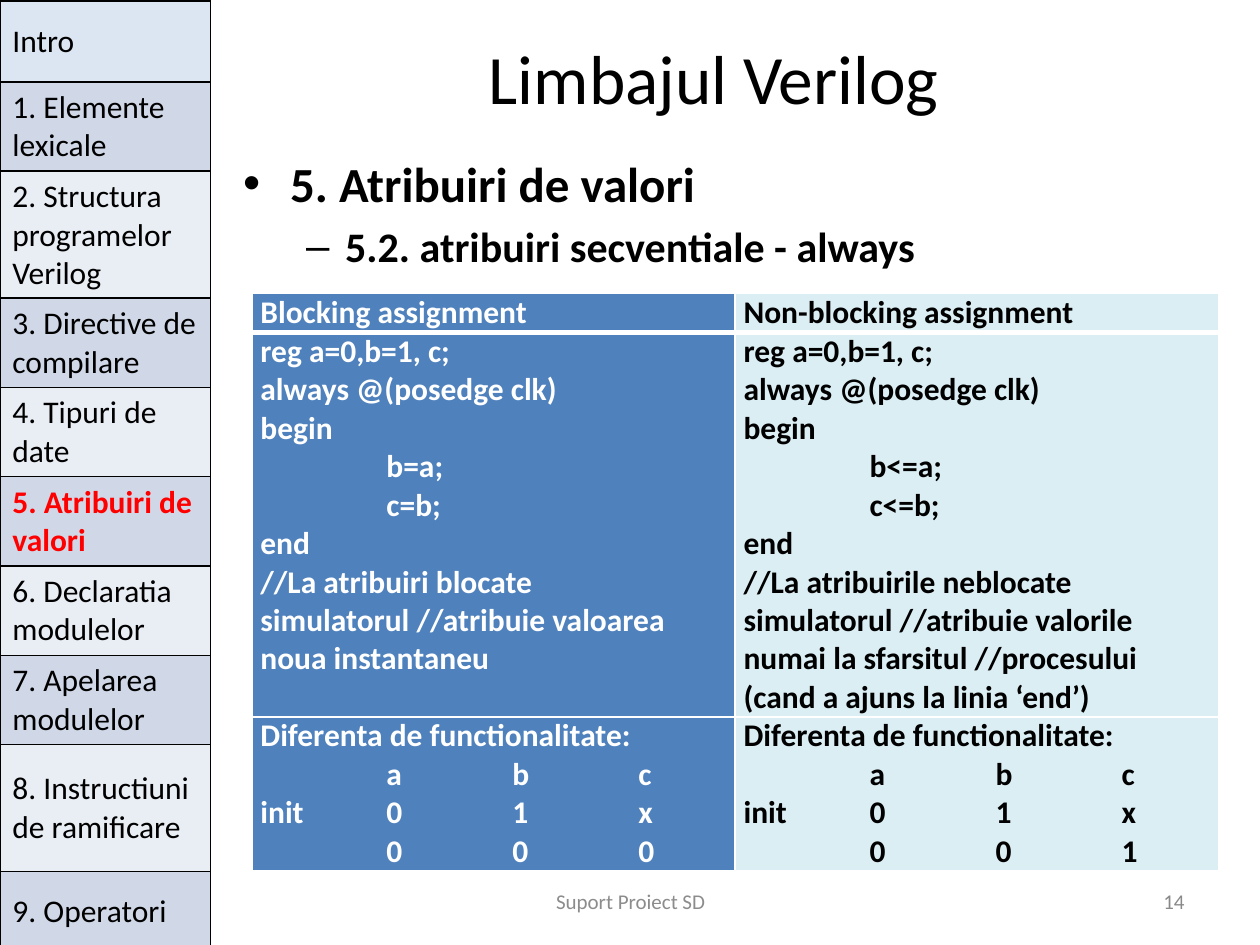
from lxml import etree
from pptx import Presentation
from pptx.dml.color import RGBColor
from pptx.enum.text import MSO_ANCHOR, PP_ALIGN
from pptx.oxml.ns import qn
from pptx.util import Cm, Pt

MIDDLE, TOP = MSO_ANCHOR.MIDDLE, MSO_ANCHOR.TOP
LEFT, CENTER, RIGHT = PP_ALIGN.LEFT, PP_ALIGN.CENTER, PP_ALIGN.RIGHT
FONT = "Calibri"
TAB = 2.54
HEX = {
    "black": "000000", "white": "FFFFFF", "red": "FF0000",
    "foot": "8C8C8C", "page": "898989", "blue": "4F81BD",
    "aqua": "DBEEF4", "intro": "DCE6F2", "odd": "D0D8E8", "even": "E9EDF4",
}
MENU = [
    ("Intro", 1.63), ("1. Elemente lexicale", 1.8),
    ("2. Structura programelor Verilog", 2.56),
    ("3. Directive de compilare", 1.8), ("4. Tipuri de date", 1.8),
    ("5. Atribuiri de valori", 1.8), ("6. Declaratia modulelor", 1.8),
    ("7. Apelarea modulelor", 1.8), ("8. Instructiuni de ramificare", 2.56),
    ("9. Operatori", 1.63),
]
ACTIVE = 5
CODE = "reg a=0,b=1, c;\nalways @(posedge clk)\nbegin\n\tb{0}a;\n\tc{0}b;\nend\n{1}"
STATE = "Diferenta de functionalitate:\n\ta\tb\tc\ninit\t0\t1\tx\n\t0\t0\t{}"
SIDES = [
    ("Blocking assignment", "=", "//La atribuiri blocate simulatorul "
     "//atribuie valoarea noua instantaneu", 0, "blue", "white"),
    ("Non-blocking assignment", "<=", "//La atribuirile neblocate simulatorul "
     "//atribuie valorile numai la sfarsitul //procesului "
     "(cand a ajuns la linia ‘end’)", 1, "aqua", "black"),
]


def style(para, size, ink, bold=False, align=LEFT):
    """Set the font and alignment of a paragraph."""
    para.alignment = align
    font = para.font
    font.name, font.size, font.bold = FONT, Pt(size), bold
    font.color.rgb = RGBColor.from_string(HEX[ink])


def add_text(slide, box, text, size, ink, align):
    """Place one middle-anchored line of text in a box."""
    frame = slide.shapes.add_textbox(*map(Cm, box)).text_frame
    frame.word_wrap = True
    frame.vertical_anchor = MIDDLE
    frame.text = text
    style(frame.paragraphs[0], size, ink, align=align)


def add_points(slide, box):
    """Place the two bold bullet levels in a box."""
    frame = slide.shapes.add_textbox(*map(Cm, box)).text_frame
    frame.word_wrap = True
    points = [("5. Atribuiri de valori", 28, "•", 0.95, 0.95),
              ("5.2. atribuiri secventiale - always", 24, "–", 2.06, 0.79)]
    frame.text = "\n".join(point[0] for point in points)
    for level, (para, point) in enumerate(zip(frame.paragraphs, points)):
        size, mark, left, hang = point[1:]
        para.level = level
        para.space_before = Pt(size * 0.2)
        props = para._p.get_or_add_pPr()
        props.set("marL", str(Cm(left)))
        props.set("indent", str(-Cm(hang)))
        etree.SubElement(props, qn("a:buFont"), typeface="Arial")
        etree.SubElement(props, qn("a:buChar"), char=mark)
        style(para, size, "black", True)


def add_grid(slide, box, cols, rows):
    """Place a plain table with the given column widths and row heights."""
    shape = slide.shapes.add_table(len(rows), len(cols), *map(Cm, box))
    table = shape.table
    table.first_row = table.horz_banding = False
    for col, width in zip(table.columns, cols):
        col.width = Cm(width)
    for row, height in zip(table.rows, rows):
        row.height = Cm(height)
    return table


def edge(cell, ink, **widths):
    """Draw the four borders of a cell, one point unless given."""
    props = cell._tc.get_or_add_tcPr()
    for side in "LRTB":
        width = Pt(widths.get(side, 1))
        line = etree.SubElement(props, qn("a:ln" + side), w=str(width))
        fill = etree.SubElement(line, qn("a:solidFill"))
        etree.SubElement(fill, qn("a:srgbClr"), val=HEX[ink])


def set_tabs(para):
    """Give a paragraph one evenly spaced stop for each of its tabs."""
    count = para.text.count("\t")
    if count:
        props = para._p.get_or_add_pPr()
        stops = etree.SubElement(props, qn("a:tabLst"))
        for num in range(1, count + 1):
            etree.SubElement(stops, qn("a:tab"), pos=str(Cm(TAB * num)), algn="l")


def fill_cell(cell, text, back, ink, bold, pad, anchor):
    """Fill a cell with colour and text."""
    cell.fill.solid()
    cell.fill.fore_color.rgb = RGBColor.from_string(HEX[back])
    cell.margin_left = cell.margin_right = Cm(pad[0])
    cell.margin_top = cell.margin_bottom = Cm(pad[1])
    cell.vertical_anchor = anchor
    cell.text = text
    for para in cell.text_frame.paragraphs:
        set_tabs(para)
        style(para, 18, ink, bold)


def add_menu(slide, box):
    """Place the chapter menu with the active chapter in red."""
    table = add_grid(slide, box, [box[2]], [high for _, high in MENU])
    for num, (text, _) in enumerate(MENU):
        cell = table.cell(num, 0)
        on = num == ACTIVE
        back = "intro" if num == 0 else "odd" if num % 2 else "even"
        edge(cell, "black")
        fill_cell(cell, text, back, "red" if on else "black", on,
                  (0.25, 0.13), MIDDLE)


def add_sides(slide, box):
    """Place the comparison of the two kinds of assignment."""
    table = add_grid(slide, box, [box[2] / 2] * 2, [0.78, 7.75, 3.1])
    for col, (head, sign, note, last, back, ink) in enumerate(SIDES):
        texts = [head, CODE.format(sign, note), STATE.format(last)]
        for row, text in enumerate(texts):
            cell = table.cell(row, col)
            edge(cell, "white", T=3 if row == 1 else 1, B=3 if row == 0 else 1)
            fill_cell(cell, text, back, ink, True, (0.17, 0), TOP)


def main():
    """Build the slide and save it."""
    deck = Presentation()
    deck.slide_width, deck.slide_height = Cm(25.4), Cm(19.05)
    slide = deck.slides.add_slide(deck.slide_layouts[6])
    add_text(slide, (4.65, 0.76, 19.48, 1.57), "Limbajul Verilog",
             39.6, "black", CENTER)
    add_sides(slide, (5.08, 5.92, 19.48, 11.63))
    add_text(slide, (8.69, 17.65, 8.05, 1.02), "Suport Proiect SD",
             12, "foot", CENTER)
    add_text(slide, (18.21, 17.65, 5.92, 1.02), "14", 12, "page", RIGHT)
    add_points(slide, (4.65, 2.97, 19.48, 14.17))
    add_menu(slide, (0, 0.02, 4.24, 19.03))
    deck.save("out.pptx")


main()
